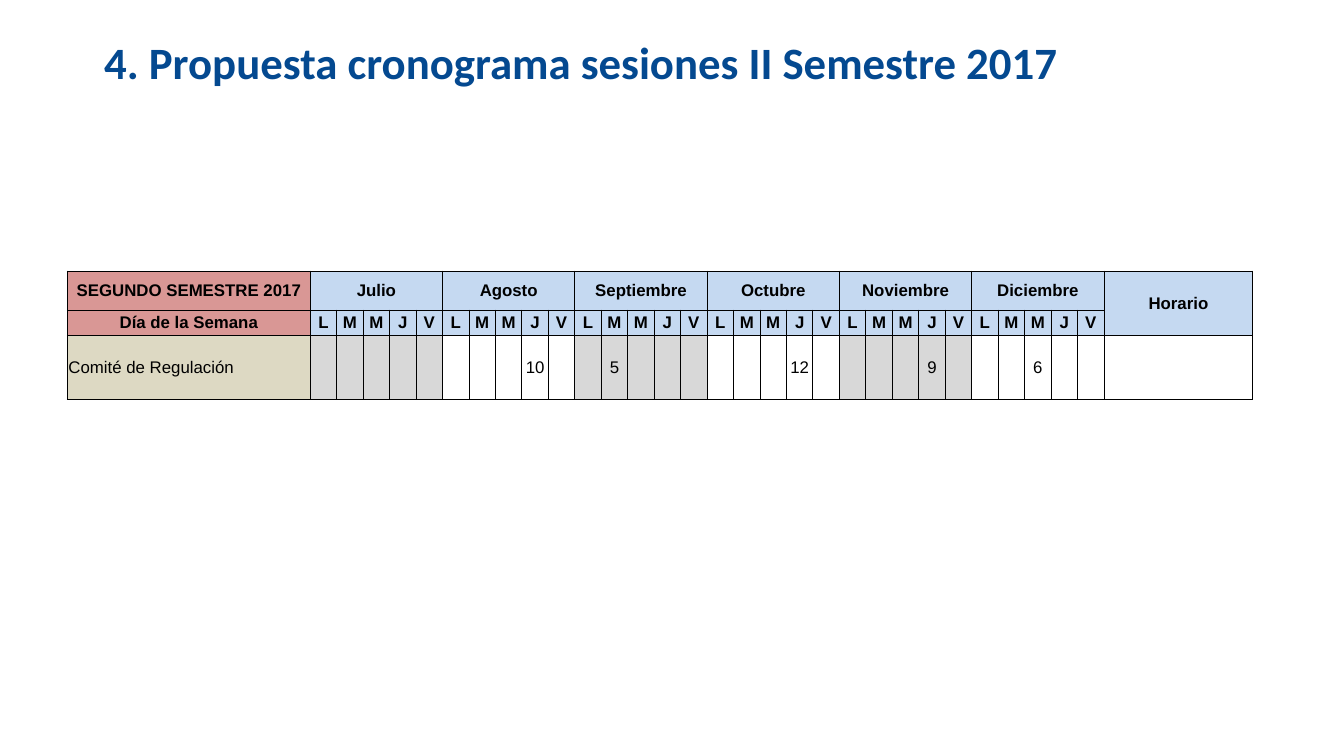
from lxml import etree
from pptx import Presentation
from pptx import util as u
from pptx.dml import color
from pptx.enum import text
from pptx.oxml import ns

MONTHS = ["Julio", "Agosto", "Septiembre", "Octubre", "Noviembre", "Diciembre"]
WEEKDAYS = "LMMJV"
# (month, weekday) positions, counted from zero
SESSIONS = {(1, 3): "10", (2, 1): "5", (3, 3): "12", (4, 3): "9", (5, 2): "6"}
ROSE, BLUE, SAND, GREY, WHITE = "D99795", "C5D9F1", "DDD9C3", "D8D8D8", "FFFFFF"
COLUMNS = [130.2] + [14.2] * len(MONTHS) * len(WEEKDAYS) + [79.8]
ROWS = [20.9, 13.4, 34.3]
CENTER = text.PP_ALIGN.CENTER


def rgb(value):
    """Turn a hex string into a colour."""
    return color.RGBColor.from_string(value)


def apply(target, values):
    """Set attributes of an object from a dict."""
    for name, value in values.items():
        setattr(target, name, value)


def write(para, words, align, ink, **font):
    """Write one formatted span into a paragraph."""
    para.alignment = align
    span = para.add_run()
    span.text = words
    apply(span.font, font)
    span.font.color.rgb = rgb(ink)


def add_title(page, words):
    """Add the slide title."""
    box = page.shapes.add_textbox(u.Pt(-16.5), u.Pt(15), u.Pt(648), u.Pt(61))
    apply(box.text_frame, {"word_wrap": True, "margin_left": u.Pt(14.4)})
    write(box.text_frame.paragraphs[0], words, CENTER, "044990",
          name="Calibri", size=u.Pt(24), bold=True)


def add_borders(cell):
    """Draw a thin black line on every side of a cell."""
    properties = cell._tc.get_or_add_tcPr()
    for side in ("a:lnL", "a:lnR", "a:lnT", "a:lnB"):
        line = etree.SubElement(properties, ns.qn(side), w=str(u.Pt(0.5)))
        fill = etree.SubElement(line, ns.qn("a:solidFill"))
        etree.SubElement(fill, ns.qn("a:srgbClr"), val="000000")


def prepare_cell(cell):
    """Give a cell its borders, margins and base text size."""
    add_borders(cell)
    apply(cell, {"margin_left": u.Pt(0.7), "margin_right": u.Pt(0.7),
                 "margin_top": u.Pt(0.7), "margin_bottom": 0,
                 "vertical_anchor": text.MSO_ANCHOR.MIDDLE})
    ending = cell.text_frame.paragraphs[0]._p.get_or_add_endParaRPr()
    ending.set("sz", "900")


def fill_cell(cell, words, shade, bold=True, align=CENTER):
    """Give a cell its shade and wording."""
    cell.fill.solid()
    cell.fill.fore_color.rgb = rgb(shade)
    if words:
        write(cell.text_frame.paragraphs[0], words, align, "000000",
              name="Arial", size=u.Pt(9), bold=bold)


def add_table(page):
    """Add an empty bordered table."""
    frame = page.shapes.add_table(len(ROWS), len(COLUMNS), u.Pt(36), u.Pt(145.2),
                                  u.Pt(sum(COLUMNS)), u.Pt(sum(ROWS)))
    table = frame.table
    apply(table, {"first_row": False, "horz_banding": False})
    for column, width in zip(table.columns, COLUMNS):
        column.width = u.Pt(width)
    for row, height in zip(table.rows, ROWS):
        row.height = u.Pt(height)
    for cell in table.iter_cells():
        prepare_cell(cell)
    return table


def add_schedule(page):
    """Add the table of sessions by month and weekday."""
    table = add_table(page)
    fill_cell(table.cell(0, 0), "SEGUNDO SEMESTRE 2017", ROSE)
    fill_cell(table.cell(1, 0), "Día de la Semana", ROSE)
    fill_cell(table.cell(2, 0), "Comité de Regulación", SAND, False,
              text.PP_ALIGN.LEFT)
    for month, name in enumerate(MONTHS):
        first = 1 + month * len(WEEKDAYS)
        heading = table.cell(0, first)
        heading.merge(table.cell(0, first + len(WEEKDAYS) - 1))
        fill_cell(heading, name, BLUE)
        shade = WHITE if month % 2 else GREY
        for day, letter in enumerate(WEEKDAYS):
            fill_cell(table.cell(1, first + day), letter, BLUE)
            fill_cell(table.cell(2, first + day),
                      SESSIONS.get((month, day)), shade, False)
    last = len(COLUMNS) - 1
    table.cell(0, last).merge(table.cell(1, last))
    fill_cell(table.cell(0, last), "Horario", BLUE)
    fill_cell(table.cell(2, last), None, WHITE)


def main():
    """Build and save the slide."""
    deck = Presentation()
    apply(deck, {"slide_width": u.Pt(720), "slide_height": u.Pt(405)})
    page = deck.slides.add_slide(deck.slide_layouts[6])
    add_title(page, "4. Propuesta cronograma sesiones II Semestre 2017")
    add_schedule(page)
    deck.save("out.pptx")


main()
